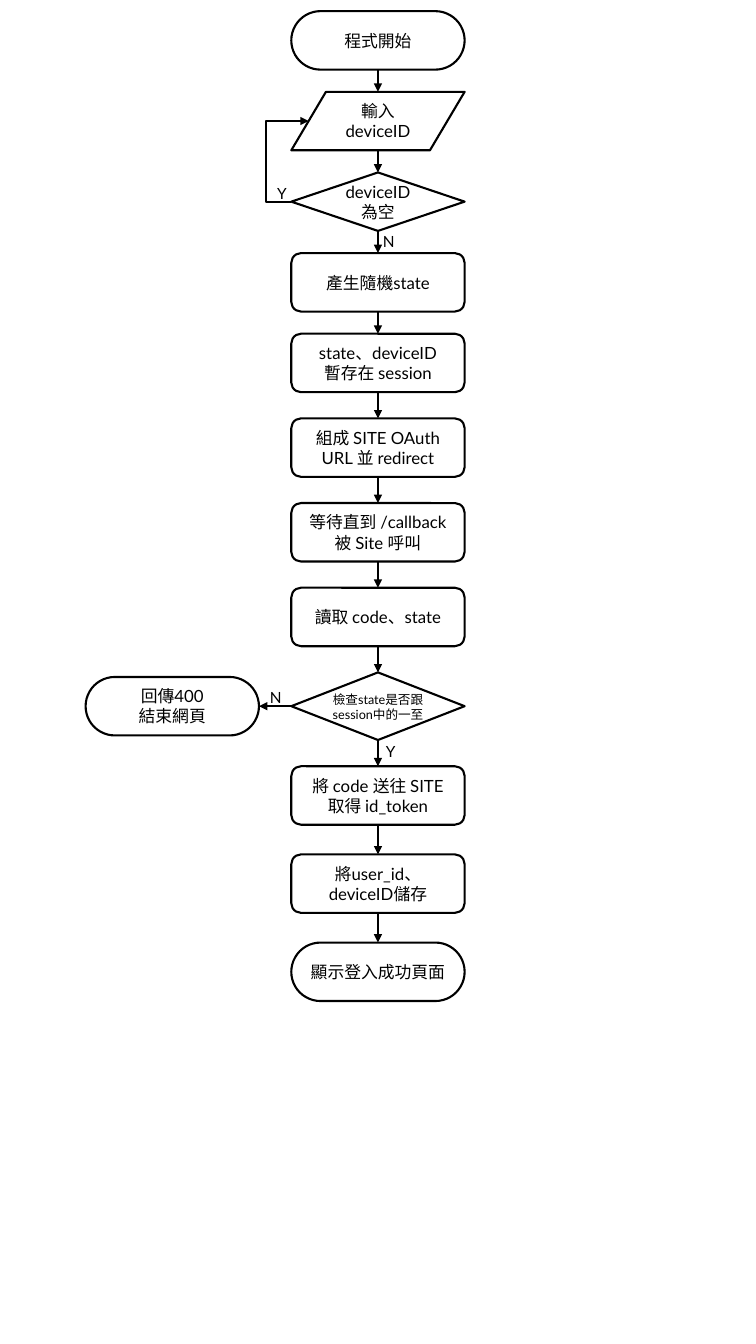
from dataclasses import dataclass

from lxml.etree import SubElement
from pptx import Presentation
from pptx.dml.color import RGBColor
from pptx.enum.shapes import MSO_CONNECTOR as Conn, MSO_SHAPE as Shape
from pptx.enum.text import MSO_ANCHOR as Anchor, MSO_AUTO_SIZE as Auto, PP_ALIGN as Align
from pptx.oxml.ns import qn
from pptx.util import Inches, Pt

COLORS = {"ink": "000000", "paper": "FFFFFF"}
FONT = "Lato"
W, H = Inches(7.5), Inches(13.33)

# Percent of the slide's width or height
NODE_W, NODE_H, CHECK_H = 22.93, 4.35, 5.03
MAIN_X = 50 - NODE_W / 2
EXIT_X = 11.33
TOP, LOOP_STEP, AUTH_STEP = 0.83, 6, 6.3
FINISH_TOP, FINISH_STEP = 57.01, 6.56
TOPS = ([TOP + i * LOOP_STEP for i in range(4)]
        + [TOP + 4 * LOOP_STEP + i * AUTH_STEP for i in range(5)]
        + [FINISH_TOP + i * FINISH_STEP for i in range(3)])


@dataclass
class Node:
    text: str
    kind: Shape = Shape.ROUNDED_RECTANGLE
    pill: bool = False
    height: float = NODE_H


@dataclass
class Label:
    text: str
    left: float
    top: float
    width: float = 4.13
    height: float = 2.18
    size: float = 11
    align: Align = Align.LEFT


STEPS = [
    Node("程式開始", pill=True),
    Node("輸入\ndeviceID", Shape.FLOWCHART_DATA),
    Node("deviceID 為空", Shape.FLOWCHART_DECISION),
    Node("產生隨機state"),
    Node("state、deviceID\n暫存在 session"),
    Node("組成 SITE OAuth URL 並 redirect"),
    Node("等待直到 /callback被 Site 呼叫"),
    Node("讀取 code、state"),
    Node("", Shape.FLOWCHART_DECISION, height=CHECK_H),
    Node("將 code 送往 SITE 取得 id_token"),
    Node("將user_id、deviceID儲存"),
    Node("顯示登入成功頁面", pill=True),
]
INPUT, EMPTY_CHECK, STATE_CHECK = 1, 2, 8

LABELS = [
    Label("Y", 35.33, 13.35),
    Label("N", 49.33, 16.88),
    Label("檢查state是否跟session中的一至", 40.27, 51.09, 19.47, 3, 9, Align.CENTER),
    Label("N", 34.4, 50.86),
    Label("Y", 49.73, 54.84),
]


def px(share: float) -> int:
    return round(W * share / 100)


def py(share: float) -> int:
    return round(H * share / 100)


def color(name: str) -> RGBColor:
    return RGBColor.from_string(COLORS[name])


def write(tf, text: str, *, size: float = 12, align: Align = Align.CENTER,
          anchor: Anchor = Anchor.MIDDLE) -> None:
    tf.word_wrap = True
    tf.vertical_anchor = anchor
    for i, line in enumerate(text.split("\n")):
        p = tf.paragraphs[0] if i == 0 else tf.add_paragraph()
        p.alignment = align
        r = p.add_run()
        r.text = line
        r.font.size, r.font.name = Pt(size), FONT
        r.font.color.rgb = color("ink")


def outline(item) -> None:
    item.line.color.rgb = color("ink")
    item.line.width = Pt(1.5)


def add_node(s, node: Node, left: float, top: float):
    sp = s.shapes.add_shape(node.kind, px(left), py(top), px(NODE_W), py(node.height))
    sp.shadow.inherit = False
    sp.fill.background()
    outline(sp)
    if node.pill:
        sp.adjustments[0] = 0.5
    if node.text:
        write(sp.text_frame, node.text)
    return sp


def add_arrow(s, kind: Conn, x1: int, y1: int, x2: int, y2: int):
    cx = s.shapes.add_connector(kind, x1, y1, x2, y2)
    outline(cx)
    SubElement(cx.line._get_or_add_ln(), qn("a:tailEnd"), type="triangle")
    SubElement(cx._element.spPr, qn("a:effectLst"))
    return cx


def join(s, start, start_side: int, end, end_side: int) -> None:
    def side_point(sp, side: int) -> tuple[int, int]:
        mid_x, mid_y = sp.left + sp.width // 2, sp.top + sp.height // 2
        return [(mid_x, sp.top), (sp.left, mid_y),
                (mid_x, sp.top + sp.height), (sp.left + sp.width, mid_y)][side]

    cx = add_arrow(s, Conn.STRAIGHT, *side_point(start, start_side), *side_point(end, end_side))
    # The parallelogram numbers its connection sites differently
    if start.auto_shape_type != Shape.FLOWCHART_DATA:
        cx.begin_connect(start, start_side)
    if end.auto_shape_type != Shape.FLOWCHART_DATA:
        cx.end_connect(end, end_side)


def add_retry_loop(s, check, entry) -> None:
    slant = entry.width // 10
    cx = add_arrow(s, Conn.ELBOW, check.left, check.top + check.height // 2,
                   entry.left + slant, entry.top + entry.height // 2)
    geom = cx._element.spPr.find(qn("a:prstGeom"))
    av = geom.find(qn("a:avLst"))
    if av is None:
        av = SubElement(geom, qn("a:avLst"))
    SubElement(av, qn("a:gd"), name="adj1", fmla="val -145700")


def add_label(s, label: Label) -> None:
    box = s.shapes.add_textbox(px(label.left), py(label.top), px(label.width), py(label.height))
    write(box.text_frame, label.text, size=label.size, align=label.align, anchor=Anchor.TOP)
    box.text_frame.auto_size = Auto.SHAPE_TO_FIT_TEXT


def main() -> None:
    prs = Presentation()
    prs.slide_width, prs.slide_height = W, H
    s = prs.slides.add_slide(prs.slide_layouts[6])
    s.background.fill.solid()
    s.background.fill.fore_color.rgb = color("paper")

    # Main column
    nodes = [add_node(s, node, MAIN_X, top) for node, top in zip(STEPS, TOPS)]
    for upper, lower in zip(nodes, nodes[1:]):
        join(s, upper, 2, lower, 0)

    # Branches
    add_retry_loop(s, nodes[EMPTY_CHECK], nodes[INPUT])
    exit_top = TOPS[STATE_CHECK] + (CHECK_H - NODE_H) / 2
    rejected = add_node(s, Node("回傳400\n結束網頁", pill=True), EXIT_X, exit_top)
    join(s, nodes[STATE_CHECK], 1, rejected, 3)

    # Branch labels and the state question
    for label in LABELS:
        add_label(s, label)

    prs.save("out.pptx")


if __name__ == "__main__":
    main()
